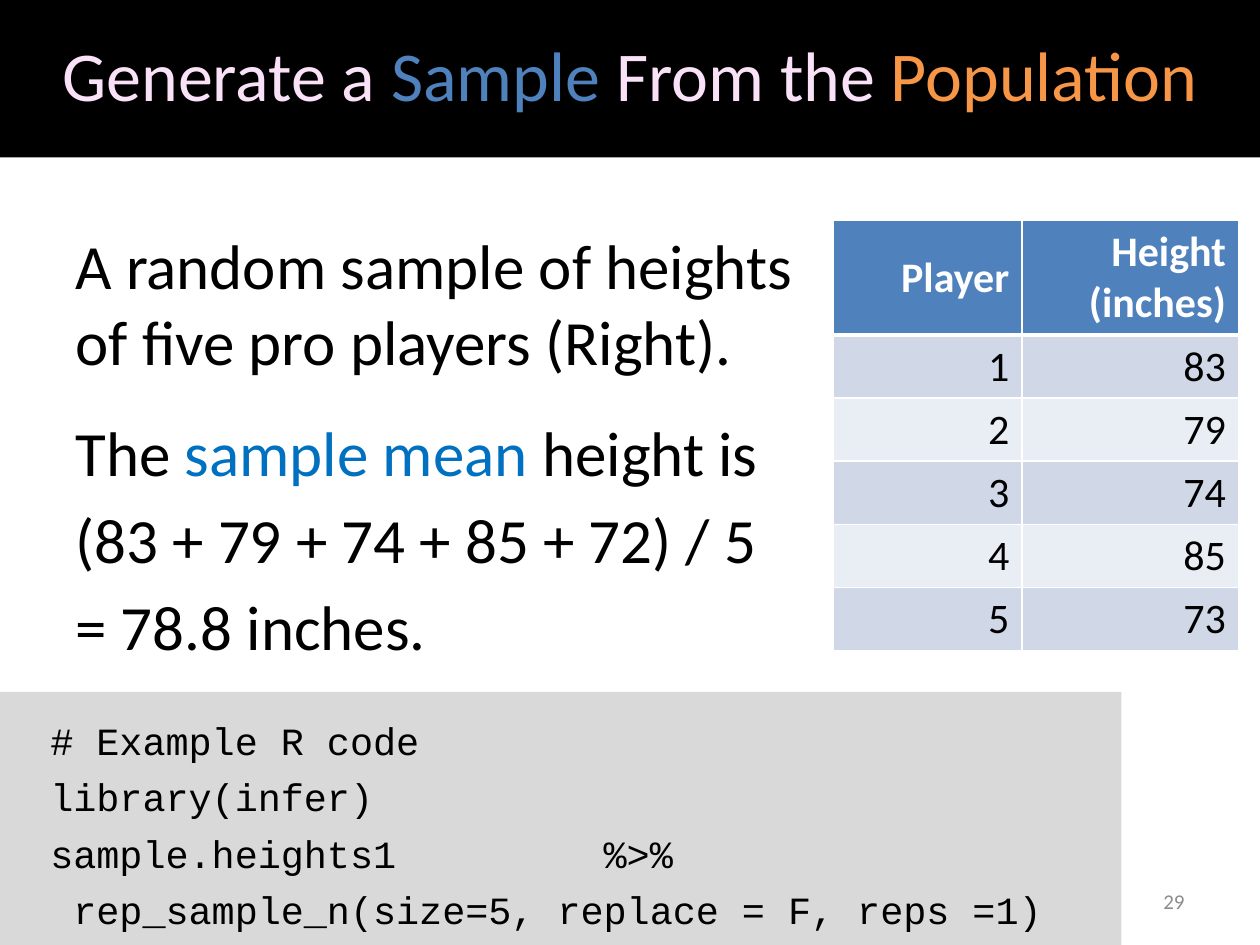
from lxml.etree import SubElement
from pptx import Presentation
from pptx.dml.color import RGBColor
from pptx.enum.shapes import MSO_SHAPE as Shape
from pptx.enum.text import MSO_ANCHOR as Anchor, PP_ALIGN as Align
from pptx.oxml.ns import qn
from pptx.util import Inches, Pt

BLACK = RGBColor(0x00, 0x00, 0x00)
WHITE = RGBColor(0xFF, 0xFF, 0xFF)
PINK = RGBColor(0xF9, 0xE2, 0xF7)
BLUE = RGBColor(0x4F, 0x81, 0xBD)
ORANGE = RGBColor(0xF7, 0x96, 0x46)
MEAN_BLUE = RGBColor(0x00, 0x70, 0xC0)
CODE_GRAY = RGBColor(0xD9, 0xD9, 0xD9)
NUMBER_GRAY = RGBColor(0x8C, 0x8C, 0x8C)
BANDS = [RGBColor(0xD0, 0xD8, 0xE8), RGBColor(0xE9, 0xED, 0xF4)]

TITLE = [("Generate a ", PINK), ("Sample", BLUE), (" From the ", PINK), ("Population", ORANGE)]
# Each body paragraph: space before in points, then its runs
BODY = [
    (0, [("A random sample of heights of five pro players (Right).", BLACK)]),
    (20.5, [("The ", BLACK), ("sample mean ", MEAN_BLUE), ("height is", BLACK)]),
    (6.5, [("(83 + 79 + 74 + 85 + 72) / 5", BLACK)]),
    (6.5, [("= 78.8 inches.", BLACK)]),
]
CODE = [
    "# Example R code",
    "library(infer)",
    "sample.heights1         %>%",
    " rep_sample_n(size=5, replace = F, reps =1)",
]
HEIGHTS = [("Player", "Height\n(inches)"), ("1", "83"), ("2", "79"), ("3", "74"), ("4", "85"), ("5", "73")]


def inches(box):
    return [Inches(value) for value in box]


def write_paragraphs(text_frame, paragraphs, size, font="Calibri", align=Align.LEFT):
    """Fill a frame with (space before, [(text, colour), ...]) paragraphs."""
    text_frame.word_wrap = True
    for index, (space, runs) in enumerate(paragraphs):
        paragraph = text_frame.add_paragraph() if index else text_frame.paragraphs[0]
        paragraph.alignment = align
        paragraph.space_before = Pt(space)
        for text, color in runs:
            run = paragraph.add_run()
            run.text = text
            run.font.name = font
            run.font.size = Pt(size)
            run.font.color.rgb = color


def add_panel(slide, box, color, inset_x, inset_top, inset_bottom):
    panel = slide.shapes.add_shape(Shape.RECTANGLE, *inches(box))
    panel.shadow.inherit = False
    panel.fill.solid()
    panel.fill.fore_color.rgb = color
    panel.line.fill.background()
    frame = panel.text_frame
    frame.vertical_anchor = Anchor.MIDDLE
    frame.margin_left = frame.margin_right = Inches(inset_x)
    frame.margin_top, frame.margin_bottom = Inches(inset_top), Inches(inset_bottom)
    return frame


def add_title(slide, box):
    frame = add_panel(slide, box, BLACK, 0.1, 0.15, 0.15)
    write_paragraphs(frame, [(0, TITLE)], 40, align=Align.CENTER)
    frame.paragraphs[0].line_spacing = 0.9


def add_body(slide, box):
    frame = slide.shapes.add_textbox(*inches(box)).text_frame
    write_paragraphs(frame, BODY, 36)


def add_code(slide, box):
    frame = add_panel(slide, box, CODE_GRAY, 0.4, 0.2, 0.1)
    lines = [(5.8 if index else 0, [(line, BLACK)]) for index, line in enumerate(CODE)]
    write_paragraphs(frame, lines, 22, font="Courier New")


def add_slide_number(slide, box):
    frame = slide.shapes.add_textbox(*inches(box)).text_frame
    frame.vertical_anchor = Anchor.MIDDLE
    write_paragraphs(frame, [(0, [("29", NUMBER_GRAY)])], 12, align=Align.RIGHT)


def set_borders(cell, widths):
    """Draw white borders; widths gives points for left, right, top, bottom."""
    properties = cell._tc.get_or_add_tcPr()
    for position, (side, width) in enumerate(zip("LRTB", widths)):
        line = SubElement(properties, qn(f"a:ln{side}"), w=str(Pt(width)))
        fill = SubElement(line, qn("a:solidFill"))
        SubElement(fill, qn("a:srgbClr"), val=str(WHITE))
        properties.insert(position, line)


def add_height_table(slide, box):
    table = slide.shapes.add_table(len(HEIGHTS), 2, *inches(box)).table
    for column, width in zip(table.columns, (1.5, 1.72)):
        column.width = Inches(width)
    for row_index, values in enumerate(HEIGHTS):
        header = row_index == 0
        table.rows[row_index].height = Inches(0.91 if header else 0.5)
        for column_index, value in enumerate(values):
            cell = table.cell(row_index, column_index)
            cell.vertical_anchor = Anchor.MIDDLE
            cell.fill.solid()
            cell.fill.fore_color.rgb = BLUE if header else BANDS[(row_index - 1) % 2]
            color = WHITE if header else BLACK
            lines = [(0, [(line, color)]) for line in value.split("\n")]
            write_paragraphs(cell.text_frame, lines, 24, align=Align.RIGHT)
            for paragraph in cell.text_frame.paragraphs:
                paragraph.runs[0].font.bold = header
            set_borders(cell, (1, 1, 3 if row_index == 1 else 1, 3 if header else 1))


def main():
    presentation = Presentation()
    presentation.slide_width, presentation.slide_height = Inches(10), Inches(7.5)
    slide = presentation.slides.add_slide(presentation.slide_layouts[6])
    add_title(slide, (0, 0, 10, 1.25))
    add_slide_number(slide, (7.17, 6.95, 2.33, 0.4))
    add_body(slide, (0.5, 1.75, 6.16, 4.95))
    add_code(slide, (0, 5.49, 8.9, 2.01))
    add_height_table(slide, (6.61, 1.75, 3.22, 3.4))
    presentation.save("out.pptx")


if __name__ == "__main__":
    main()
